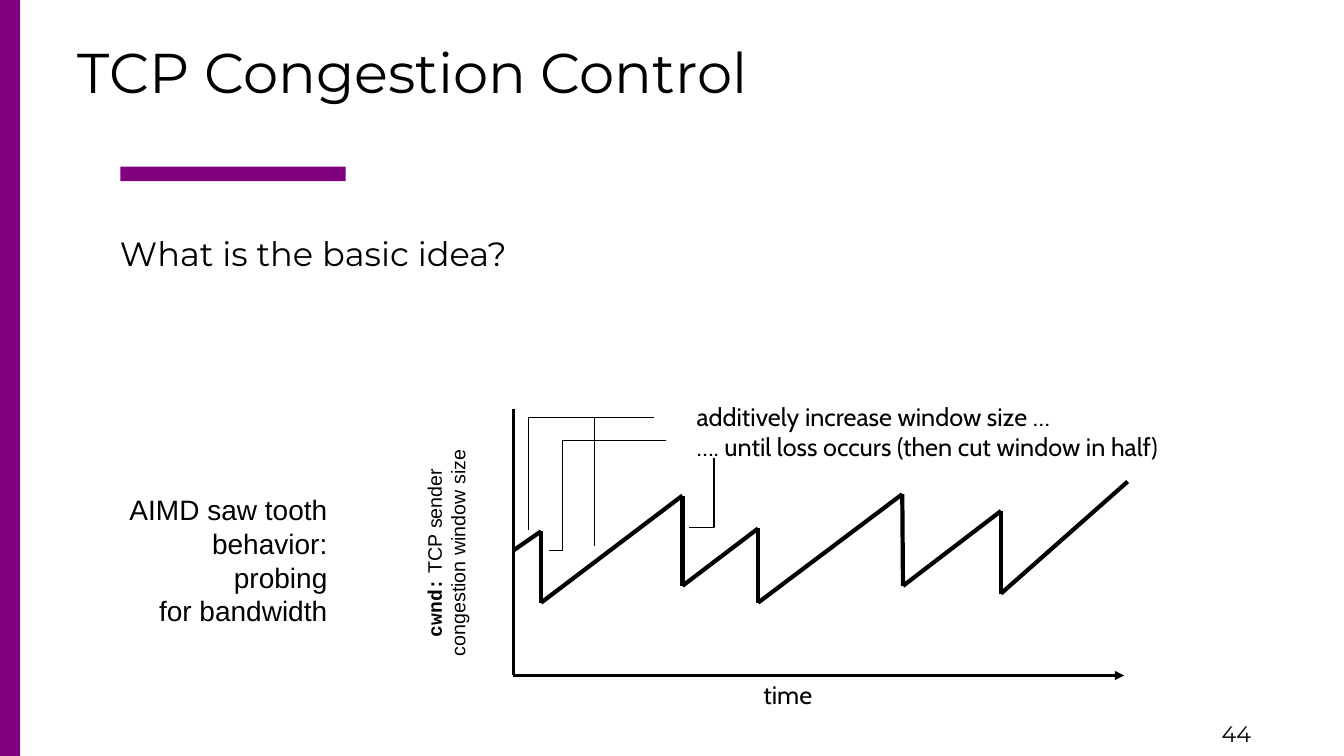
import itertools

import pptx
import pptx.dml.color
import pptx.enum.shapes
import pptx.enum.text
import pptx.oxml
import pptx.oxml.ns
import pptx.util

Pt = pptx.util.Pt
ALIGN = pptx.enum.text.PP_ALIGN
ANCHOR = pptx.enum.text.MSO_ANCHOR

THEME = {
    "accent": "800080", "ink": "000000",
    "heading": "Montserrat", "label": "Cabin", "plain": "Arial", "code": "Courier New",
    "title": 40, "body": 24, "side": 20, "note": 18, "number": 16, "axis": 14,
    "saw": 3, "axis_line": 2.25, "callout_line": 0.75,
}

SLIDE_SIZE = (960, 540)
BARS = [(86, 119, 161, 10.5), (0, 0, 14.5, 540)]
TITLE = ("TCP Congestion Control", (31, 14.5, 896, 72.5), 17.3)
BODY = ("What is the basic idea?", (44.5, 163, 878, 307), 34)

LABELS = [
    (["44"], (865.5, 511, 94, 29), ALIGN.LEFT, "heading", "number"),
    (["AIMD saw tooth", "behavior: probing", "for bandwidth"],
     (72, 348.5, 169, 79), ALIGN.RIGHT, "plain", "side"),
    (["additively increase window size …", "…. until loss occurs (then cut window in half)"],
     (490.5, 283, 386.5, 50), ALIGN.LEFT, "label", "note"),
    (["time"], (536.5, 481.5, 52.5, 29), ALIGN.CENTER, "label", "note"),
]
AXIS_LABEL = (["cwnd:", " TCP sender"], "congestion window size", (237.5, 374.5, 162, 41))

ORIGIN = (366.5, 482.5)
TIME_END = (803, 482.5)
WINDOW_END = (366.5, 292.5)
SAW_TOOTH = [
    (367, 393), (386.5, 379.5), (386.5, 430.5), (487.5, 354), (487.5, 418.5), (541.5, 377.5),
    (541.5, 430.5), (644.5, 353), (645, 418.5), (715, 365), (715, 424), (805.5, 344),
]
CALLOUTS = [
    [(467, 298), (377.5, 298), (377.5, 378.5)],
    [(476, 314.5), (402, 314.5), (402, 393), (392.5, 393)],
    [(467, 298), (425, 298), (425, 390)],
    [(510, 327), (510, 377), (492, 377)],
]


def color(name):
    return pptx.dml.color.RGBColor.from_string(THEME[name])


def place(shape, box):
    shape.left, shape.top, shape.width, shape.height = map(Pt, box)


def format_font(font, family, size, bold=False):
    font.name = THEME[family]
    font.size = Pt(THEME[size])
    font.bold = bold
    font.color.rgb = color("ink")


def fill_placeholder(shape, content, size, anchor):
    text, box, indent = content
    place(shape, box)
    frame = shape.text_frame
    frame.text = text
    frame.word_wrap = True
    frame.auto_size = pptx.enum.text.MSO_AUTO_SIZE.NONE
    frame.vertical_anchor = anchor
    paragraph = frame.paragraphs[0]
    paragraph.alignment = ALIGN.LEFT
    paragraph.space_before = Pt(0)
    properties = paragraph._p.get_or_add_pPr()
    properties.set("marL", str(Pt(indent)))
    properties.set("indent", "0")
    properties.append(pptx.oxml.parse_xml(f"<a:buNone {pptx.oxml.ns.nsdecls('a')}/>"))
    format_font(paragraph.runs[0].font, "heading", size)


def add_label(slide, lines, box, alignment, family, size):
    shape = slide.shapes.add_textbox(*map(Pt, box))
    frame = shape.text_frame
    frame.text = "\n".join(lines)
    frame.word_wrap = True
    for paragraph in frame.paragraphs:
        paragraph.alignment = alignment
        format_font(paragraph.runs[0].font, family, size)
    return shape


def add_axis_label(slide):
    (code, rest), second_line, box = AXIS_LABEL
    shape = add_label(slide, [code, second_line], box, ALIGN.CENTER, "plain", "axis")
    shape.rotation = 270
    shape.text_frame.word_wrap = False
    first = shape.text_frame.paragraphs[0]
    format_font(first.runs[0].font, "code", "axis", True)
    run = first.add_run()
    run.text = rest
    format_font(run.font, "plain", "axis")


def add_line(slide, start, end, width, arrow=False):
    line = slide.shapes.add_connector(
        pptx.enum.shapes.MSO_CONNECTOR.STRAIGHT, *map(Pt, start + end))
    line.line.color.rgb = color("ink")
    line.line.width = Pt(THEME[width])
    namespace = pptx.oxml.ns.nsdecls("a")
    if arrow:
        line.line._get_or_add_ln().append(
            pptx.oxml.parse_xml(f'<a:tailEnd {namespace} type="triangle"/>'))
    line._element.spPr.append(pptx.oxml.parse_xml(f"<a:effectLst {namespace}/>"))


def add_callout(slide, points):
    corners = [tuple(map(Pt, point)) for point in points]
    builder = slide.shapes.build_freeform(*corners[0])
    builder.add_line_segments(corners[1:], close=False)
    shape = builder.convert_to_shape()
    shape.shadow.inherit = False
    shape.fill.background()
    shape.line.color.rgb = color("ink")
    shape.line.width = Pt(THEME["callout_line"])


def main():
    presentation = pptx.Presentation()
    presentation.slide_width, presentation.slide_height = map(Pt, SLIDE_SIZE)
    slide = presentation.slides.add_slide(presentation.slide_layouts[1])

    fill_placeholder(slide.shapes.title, TITLE, "title", ANCHOR.MIDDLE)
    fill_placeholder(slide.placeholders[1], BODY, "body", ANCHOR.TOP)

    for box in BARS:
        bar = slide.shapes.add_shape(
            pptx.enum.shapes.MSO_SHAPE.RECTANGLE, *map(Pt, box))
        bar.shadow.inherit = False
        bar.fill.solid()
        bar.fill.fore_color.rgb = color("accent")
        bar.line.fill.background()

    add_axis_label(slide)
    for label in LABELS:
        add_label(slide, *label)

    add_line(slide, ORIGIN, TIME_END, "axis_line", arrow=True)
    add_line(slide, WINDOW_END, ORIGIN, "axis_line")
    for start, end in itertools.pairwise(SAW_TOOTH):
        add_line(slide, start, end, "saw")
    for points in CALLOUTS:
        add_callout(slide, points)

    presentation.save("out.pptx")


if __name__ == "__main__":
    main()
